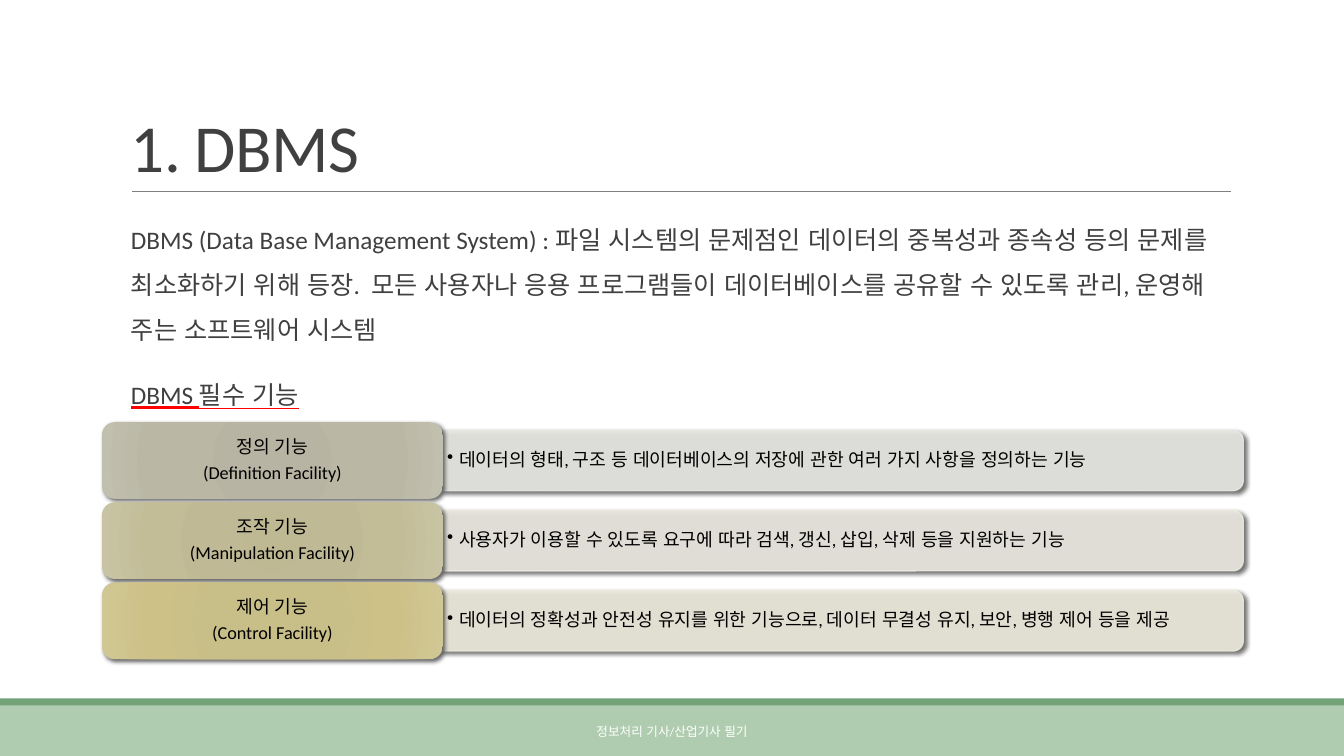
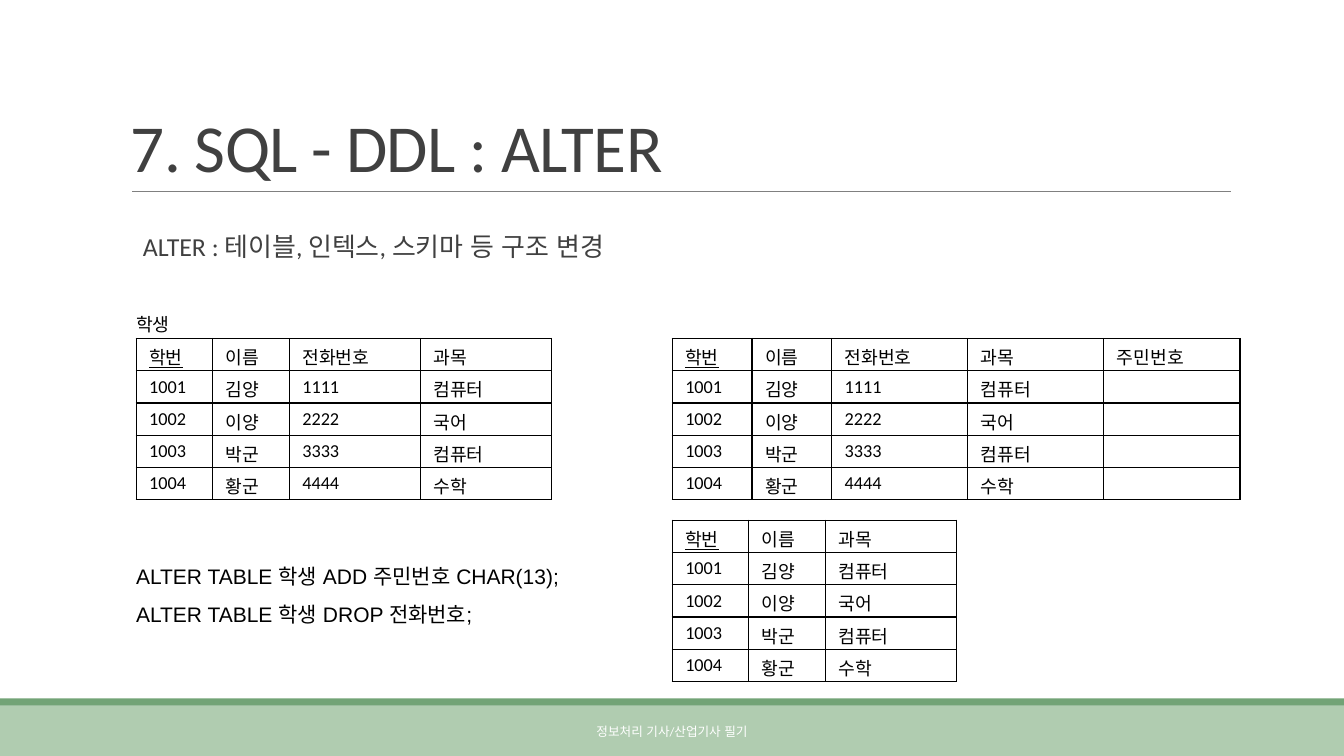
import pptx
import pptx.dml.color
import pptx.enum.lang
import pptx.enum.shapes
import pptx.enum.text
import pptx.oxml
import pptx.oxml.ns
import pptx.util
from lxml import etree

Cm, Pt = pptx.util.Cm, pptx.util.Pt
qn = pptx.oxml.ns.qn
SHAPE = pptx.enum.shapes.MSO_SHAPE
ALIGN = pptx.enum.text.PP_ALIGN
ANCHOR = pptx.enum.text.MSO_ANCHOR
KOREAN = pptx.enum.lang.MSO_LANGUAGE_ID.KOREAN

# Content
FOOTER = "정보처리 기사/산업기사 필기"
DBMS_TITLE = "1. DBMS"
DBMS_INTRO = (
    "DBMS (Data Base Management System) : 파일 시스템의 문제점인 데이터의 중복성과 "
    "종속성 등의 문제를 최소화하기 위해 등장.  모든 사용자나 응용 프로그램들이 "
    "데이터베이스를 공유할 수 있도록 관리, 운영해 주는 소프트웨어 시스템"
)
DBMS_HEADING = "DBMS 필수 기능"
FACILITIES = [
    {"name": ["정의 기능", "(Definition Facility)"],
     "role": "데이터의 형태, 구조 등 데이터베이스의 저장에 관한 여러 가지 사항을 정의하는 기능",
     "bar": "E8E8E3", "card": ["B5B3A1", "B7B4A3", "BAB7A5", "C1BFAE"]},
    {"name": ["조작 기능", "(Manipulation Facility)"],
     "role": "사용자가 이용할 수 있도록 요구에 따라 검색, 갱신, 삽입, 삭제 등을 지원하는 기능",
     "bar": "EBE9E0", "card": ["BEB893", "BFB996", "C3BD97", "C8C3A2"]},
    {"name": ["제어 기능", "(Control Facility)"],
     "role": "데이터의 정확성과 안전성 유지를 위한 기능으로, 데이터 무결성 유지, 보안, 병행 제어 등을 제공",
     "bar": "EDEADD", "card": ["C8BD85", "C8BE88", "CDC188", "D1C794"]},
]

ALTER_TITLE = "7. SQL - DDL : ALTER"
ALTER_INTRO = "ALTER : 테이블, 인텍스, 스키마 등 구조 변경"
TABLE_NAME = "학생"
STATEMENTS = ["ALTER TABLE 학생 ADD 주민번호 CHAR(13);", "ALTER TABLE 학생 DROP 전화번호;"]
STUDENTS = [
    ["학번", "이름", "전화번호", "과목"],
    ["1001", "김양", "1111", "컴퓨터"],
    ["1002", "이양", "2222", "국어"],
    ["1003", "박군", "3333", "컴퓨터"],
    ["1004", "황군", "4444", "수학"],
]
WITH_ID = [row + [extra] for row, extra in zip(STUDENTS, ["주민번호", "", "", "", ""])]
WITHOUT_PHONE = [row[:2] + row[3:] for row in STUDENTS]
# rows, left, top, column widths
TABLES = [
    (STUDENTS, 3.43, 8.53, [1.93, 1.93, 3.3, 3.3]),
    (WITH_ID, 16.94, 8.53, [2.01, 2.01, 3.43, 3.43, 3.43]),
    (WITHOUT_PHONE, 16.94, 13.11, [1.93, 1.93, 3.3]),
]

# Style
WIDTH, HEIGHT = 33.87, 19.05
GREEN, PALE_GREEN, GRAY = "72A376", "B0CCB0", "808080"
INK, BLACK, WHITE, RED = "404040", "000000", "FFFFFF", "FF0000"
ROW_HEIGHT = 0.8
CARD_TOP, CARD_HEIGHT, CARD_PITCH = 10.64, 1.93, 2.02
CARD_LEFT, CARD_WIDTH = 2.57, 8.59
BAR_LEFT, BAR_WIDTH, BAR_HEIGHT = 11.14, 20.19, 1.52
GRADIENT_STOPS = [0, 34, 70, 100]
CELL_MARGINS = (0.33, 0.13, 0.33, 0.13)
BODY_MARGINS = (0.25, 0.13, 0, 0.13)
CARD_MARGINS = (0.2, 0.08, 0.2, 0.08)
ROLE_MARGINS = (0.13, 0.08, 0.13, 0.08)
SMALL = {"size": Pt(13)}


def rgb(color):
    return pptx.dml.color.RGBColor.from_string(color)


def set_all(target, values):
    for name, value in values.items():
        setattr(target, name, value)


def drawing(xml):
    """Build an element from XML that uses the prefix a."""
    return pptx.oxml.parse_xml(xml.replace(" ", f" {pptx.oxml.ns.nsdecls('a')} ", 1))


def set_margins(target, margins):
    sides = ("margin_left", "margin_top", "margin_right", "margin_bottom")
    set_all(target, dict(zip(sides, map(Cm, margins))))


def write(p, text, font, color=BLACK, face="Calibri", **para):
    """Add one run with font values, and give its paragraph the rest."""
    set_all(p, para)
    r = p.add_run()
    r.text = text
    set_all(r.font, {"name": face, "language_id": KOREAN, **font})
    r.font.color.rgb = rgb(color)
    return r


def write_lines(tf, lines, font, **style):
    for i, line in enumerate(lines):
        p = tf.paragraphs[0] if i == 0 else tf.add_paragraph()
        r = write(p, line, font, **style)
    return r


def add_text(s, box, lines, font, frame=None, margins=None, **style):
    tf = s.shapes.add_textbox(*map(Cm, box)).text_frame
    set_all(tf, {"word_wrap": True, **(frame or {})})
    if margins:
        set_margins(tf, margins)
    return write_lines(tf, lines, font, **style)


def add_shape(s, kind, box, fill):
    sp = s.shapes.add_shape(kind, *map(Cm, box))
    sp.shadow.inherit = False
    sp.fill.solid()
    sp.fill.fore_color.rgb = rgb(fill)
    sp.line.fill.background()
    return sp


def add_shadow(sp):
    sp._element.spPr.find(qn("a:effectLst")).append(drawing(
        f'<a:outerShdw blurRad="{Pt(3)}" dist="{Pt(2)}" dir="2700000" rotWithShape="0">'
        f'<a:srgbClr val="{BLACK}"><a:alpha val="60000"/></a:srgbClr></a:outerShdw>'))


def fill_radial(sp, colors):
    stops = "".join(f'<a:gs pos="{pos * 1000}"><a:srgbClr val="{color}"/></a:gs>'
                    for pos, color in zip(GRADIENT_STOPS, colors))
    spPr = sp._element.spPr
    spPr.replace(spPr.find(qn("a:solidFill")), drawing(
        f'<a:gradFill rotWithShape="1"><a:gsLst>{stops}</a:gsLst><a:path path="circle">'
        '<a:fillToRect l="100000" t="100000" r="100000" b="100000"/></a:path></a:gradFill>'))


def add_base_slide(prs, title):
    """Add a slide with the title, rule, bands and footer that all slides share."""
    s = prs.slides.add_slide(prs.slide_layouts[6])
    add_shape(s, SHAPE.RECTANGLE, (0, 17.78, WIDTH, 1.27), PALE_GREEN)
    add_shape(s, SHAPE.RECTANGLE, (0, 17.6, WIDTH, 0.18), GREEN)
    rule = s.shapes.add_connector(pptx.enum.shapes.MSO_CONNECTOR.STRAIGHT,
                                  *map(Cm, (3.33, 4.83, 31.01, 4.83)))
    rule.line.color.rgb = rgb(GRAY)
    rule.line.width = Pt(0.5)
    etree.SubElement(rule._element.spPr, qn("a:effectLst"))
    r = add_text(s, (3.05, 0.79, 27.94, 4.04), [title], {"size": Pt(48)},
                 {"vertical_anchor": ANCHOR.BOTTOM}, color=INK, line_spacing=0.85)
    r.font._element.set("spc", "-50")
    add_text(s, (10.24, 17.93, 13.39, 1.02), [FOOTER], {"size": Pt(9)},
             {"vertical_anchor": ANCHOR.MIDDLE}, color=WHITE, alignment=ALIGN.CENTER)
    return s


def add_facility(s, top, facility):
    middle = top + CARD_HEIGHT / 2
    # The bar stands upright and is turned so that its round corners face right.
    bar_box = (BAR_LEFT + (BAR_WIDTH - BAR_HEIGHT) / 2, middle - BAR_WIDTH / 2,
               BAR_HEIGHT, BAR_WIDTH)
    bar = add_shape(s, SHAPE.ROUND_2_SAME_RECTANGLE, bar_box, facility["bar"])
    bar.rotation = 90
    bar.line.color.rgb = rgb(facility["bar"])
    bar.line.width = Pt(1)
    for clr in bar._element.spPr.iter(qn("a:srgbClr")):
        etree.SubElement(clr, qn("a:alpha"), val="90000")
    add_shadow(bar)

    r = add_text(s, (BAR_LEFT, middle - 0.7, BAR_WIDTH, 1.4), [facility["role"]], SMALL,
                 {"vertical_anchor": ANCHOR.MIDDLE}, ROLE_MARGINS, line_spacing=0.9)
    pPr = r._r.getparent().get_or_add_pPr()
    pPr.set("marL", str(Cm(0.3)))
    pPr.set("indent", str(Cm(-0.3)))
    etree.SubElement(pPr, qn("a:buChar"), char="•")

    card = add_shape(s, SHAPE.ROUNDED_RECTANGLE, (CARD_LEFT, top, CARD_WIDTH, CARD_HEIGHT),
                     facility["card"][0])
    fill_radial(card, facility["card"])
    add_shadow(card)
    card.text_frame.vertical_anchor = ANCHOR.MIDDLE
    set_margins(card.text_frame, CARD_MARGINS)
    write_lines(card.text_frame, facility["name"], SMALL, alignment=ALIGN.CENTER,
                line_spacing=0.9, space_after=Pt(4.5))


def format_cell(cell, text, underline):
    set_margins(cell, CELL_MARGINS)
    p = cell.text_frame.paragraphs[0]
    if text:
        write(p, text, {**SMALL, "underline": underline})
    else:
        etree.SubElement(p._p, qn("a:endParaRPr"), sz="1300")
    tcPr = cell._tc.get_or_add_tcPr()
    for side in ("lnL", "lnR", "lnT", "lnB"):
        tcPr.append(drawing(f'<a:{side} w="{Pt(1)}"><a:solidFill><a:srgbClr val="{BLACK}"/>'
                            f'</a:solidFill></a:{side}>'))
    cell.fill.solid()
    cell.fill.fore_color.rgb = rgb(WHITE)


def add_grid(s, rows, left, top, widths):
    box = (left, top, sum(widths), ROW_HEIGHT * len(rows))
    table = s.shapes.add_table(len(rows), len(widths), *map(Cm, box)).table
    set_all(table, {"first_row": False, "horz_banding": False})
    for column, width in zip(table.columns, widths):
        column.width = Cm(width)
    for i, row in enumerate(rows):
        table.rows[i].height = Cm(ROW_HEIGHT)
        for j, text in enumerate(row):
            format_cell(table.cell(i, j), text, underline=i == j == 0)


def add_dbms_slide(prs):
    s = add_base_slide(prs, DBMS_TITLE)
    r = add_text(s, (3.05, 5.13, 27.94, 11.18), [DBMS_INTRO, DBMS_HEADING], {"size": Pt(18)},
                 margins=BODY_MARGINS, color=INK, line_spacing=1.5,
                 space_before=Pt(12), space_after=Pt(2))
    r.font.underline = True
    r.font._element.find(qn("a:solidFill")).addnext(drawing(
        f'<a:uFill ><a:solidFill><a:srgbClr val="{RED}"/></a:solidFill></a:uFill>'))
    for i, facility in enumerate(FACILITIES):
        add_facility(s, CARD_TOP + i * CARD_PITCH, facility)


def add_alter_slide(prs):
    s = add_base_slide(prs, ALTER_TITLE)
    add_text(s, (3.35, 5.36, 19.18, 1.4), [ALTER_INTRO], {"size": Pt(18.5)},
             margins=BODY_MARGINS, color=INK, line_spacing=1.4,
             space_before=Pt(12), space_after=Pt(2))
    add_text(s, (3.18, 13.77, 12.9, 2.18), STATEMENTS, {"size": Pt(15)}, face="Arial",
             line_spacing=1.5)
    add_text(s, (3.18, 7.77, 1.45, 0.81), [TABLE_NAME], SMALL, {"word_wrap": False})
    for table in TABLES:
        add_grid(s, *table)


def main():
    prs = pptx.Presentation()
    prs.slide_width, prs.slide_height = Cm(WIDTH), Cm(HEIGHT)
    add_dbms_slide(prs)
    add_alter_slide(prs)
    prs.save("out.pptx")


if __name__ == "__main__":
    main()
